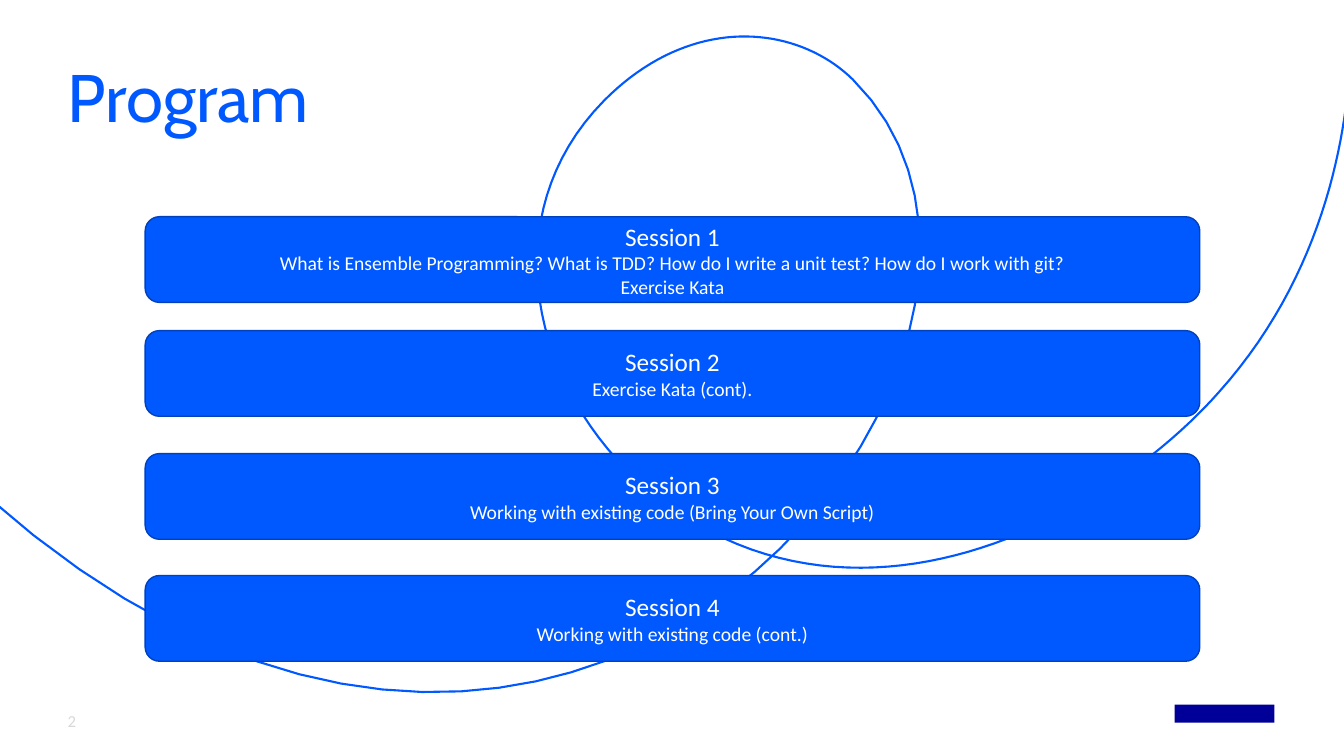
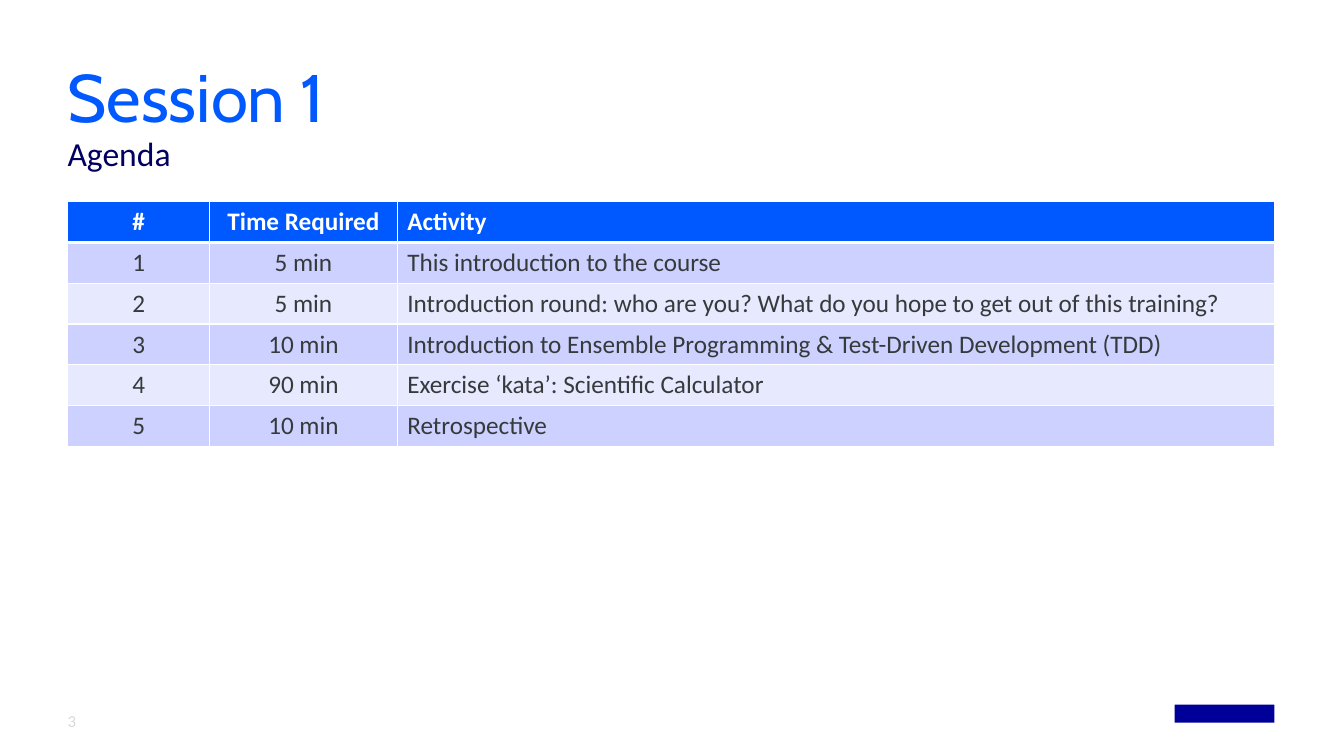
from lxml.etree import SubElement
from pptx import Presentation
from pptx.dml.color import RGBColor
from pptx.enum.shapes import MSO_SHAPE
from pptx.enum.text import MSO_ANCHOR, PP_ALIGN
from pptx.oxml.ns import qn
from pptx.util import Inches, Pt

# Content
SESSIONS = [
    (2.15, "Session 1", [
        "What is Ensemble Programming? What is TDD? How do I write a unit test? "
        "How do I work with git?", "Exercise Kata"]),
    (3.28, "Session 2", ["Exercise Kata (cont)."]),
    (4.5, "Session 3", ["Working with existing code (Bring Your Own Script)"]),
    (5.71, "Session 4", ["Working with existing code (cont.)"]),
]
AGENDA = [
    ("#", "Time Required", "Activity"),
    ("1", "5 min", "This introduction to the course"),
    ("2", "5 min", "Introduction round: who are you? What do you hope to get out of this training?"),
    ("3", "10 min", "Introduction to Ensemble Programming & Test-Driven Development (TDD)"),
    ("4", "90 min", "Exercise ‘kata’: Scientific Calculator"),
    ("5", "10 min", "Retrospective"),
]
COLS = [1.41, 1.86, 8.7]

# Loop line: a start point, then curves of two handles and an end point
START = (-0.58, 4.5)
CURVES = [
    ((5.56, 10.56), (11.07, 3.37), (8.46, 0.79)),
    ((7.9, 0.24), (6.85, 0.13), (5.99, 1)),
    ((4.6, 2.41), (5.54, 4.77), (7.45, 5.45)),
    ((9.26, 6.09), (11.18, 4.92), (12.09, 3.89)),
    ((13.54, 2.27), (13.42, 0.24), (13.38, -0.2)),
]
STEPS = 40

# Shared style
BLUE, EDGE, NAVY, DEEP = "0058FF", "0041BD", "000099", "000060"
WHITE, GREY, INK = "FFFFFF", "D8D9DA", "363A3B"
BANDS = ["E7EAFF", "CCD1FF"]
HEAD, BODY = "Cabin", "Calibri"
LEFT, WIDTH = 0.67, 11.97


def rgb(code):
    return RGBColor.from_string(code)


def box(*sizes):
    return [Inches(size) for size in sizes]


def add_run(para, text, size, color, font=BODY, bold=False):
    run = para.add_run()
    run.text = text
    run.font.size = Pt(size)
    run.font.name = font
    run.font.bold = bold
    run.font.color.rgb = rgb(color)


def add_text(slide, place, text, size, color, font=BODY, anchor=MSO_ANCHOR.TOP, lead=None):
    frame = slide.shapes.add_textbox(*box(*place)).text_frame
    frame.word_wrap = True
    frame.vertical_anchor = anchor
    frame.margin_left = frame.margin_right = 0
    frame.margin_top = frame.margin_bottom = 0
    para = frame.paragraphs[0]
    para.line_spacing = lead
    add_run(para, text, size, color, font)


def add_shape(slide, kind, place, fill, edge=None):
    shape = slide.shapes.add_shape(kind, *box(*place))
    shape.shadow.inherit = False
    shape.fill.solid()
    shape.fill.fore_color.rgb = rgb(fill)
    if edge:
        shape.line.color.rgb = rgb(edge)
        shape.line.width = Pt(1)
    else:
        shape.line.fill.background()
    return shape


def add_slide(deck, title, number):
    slide = deck.slides.add_slide(deck.slide_layouts[6])
    add_shape(slide, MSO_SHAPE.RECTANGLE, (11.65, 6.99, 0.99, 0.18), NAVY)
    add_text(slide, (LEFT, 0.64, WIDTH, 0.7), title, 48, BLUE, HEAD, lead=0.9)
    add_text(slide, (LEFT, 6.95, 0.54, 0.4), number, 12, GREY, anchor=MSO_ANCHOR.MIDDLE)
    return slide


def trace():
    """Points along the loop line."""
    points, first = [], START
    for curve in CURVES:
        knots = (first, *curve)
        for step in range(1, STEPS + 1):
            t = step / STEPS
            u = 1 - t
            parts = (u ** 3, 3 * u * u * t, 3 * u * t * t, t ** 3)
            points.append([Inches(sum(p * k[axis] for p, k in zip(parts, knots)))
                           for axis in (0, 1)])
        first = curve[-1]
    return points


def add_loop(slide):
    path = slide.shapes.build_freeform(*box(*START), scale=1.0)
    path.add_line_segments(trace(), close=False)
    loop = path.convert_to_shape()
    loop.shadow.inherit = False
    loop.fill.background()
    loop.line.color.rgb = rgb(BLUE)
    loop.line.width = Pt(1.5)


def add_card(slide, top, name, lines):
    card = add_shape(slide, MSO_SHAPE.ROUNDED_RECTANGLE, (1.44, top, 10.46, 0.85), BLUE, EDGE)
    frame = card.text_frame
    frame.word_wrap = True
    frame.vertical_anchor = MSO_ANCHOR.MIDDLE
    head, body = frame.paragraphs[0], frame.add_paragraph()
    head.alignment = body.alignment = PP_ALIGN.CENTER
    add_run(head, name, 18, WHITE)
    for index, line in enumerate(lines):
        if index:
            body.add_line_break()
        add_run(body, line, 14, WHITE)


def set_edges(cell, row):
    props = cell._tc.get_or_add_tcPr()
    widths = {"L": 1, "R": 1, "T": 3 if row == 1 else 1, "B": 3 if row == 0 else 1}
    for side, width in widths.items():
        line = SubElement(props, qn(f"a:ln{side}"), w=str(Pt(width)))
        SubElement(SubElement(line, qn("a:solidFill")), qn("a:srgbClr"), val=WHITE)


def add_agenda(slide):
    high = 2.43
    table = slide.shapes.add_table(
        len(AGENDA), len(COLS), *box(LEFT, 2, WIDTH, high)).table
    for column, width in zip(table.columns, COLS):
        column.width = Inches(width)
    for r, texts in enumerate(AGENDA):
        table.rows[r].height = Inches(high / len(AGENDA))
        for c, text in enumerate(texts):
            cell = table.cell(r, c)
            set_edges(cell, r)
            cell.fill.solid()
            cell.fill.fore_color.rgb = rgb(BANDS[r % 2] if r else BLUE)
            para = cell.text_frame.paragraphs[0]
            para.alignment = PP_ALIGN.CENTER if c < 2 else PP_ALIGN.LEFT
            add_run(para, text, 18, INK if r else WHITE, bold=r == 0)


def main():
    deck = Presentation()
    deck.slide_width, deck.slide_height = box(13.33, 7.5)

    # Program
    slide = add_slide(deck, "Program", "2")
    add_loop(slide)
    for session in SESSIONS:
        add_card(slide, *session)

    # Agenda of session 1
    slide = add_slide(deck, "Session 1", "3")
    add_text(slide, (LEFT, 1.36, WIDTH, 0.51), "Agenda", 24, DEEP, lead=0.9)
    add_agenda(slide)

    deck.save("out.pptx")


if __name__ == "__main__":
    main()
